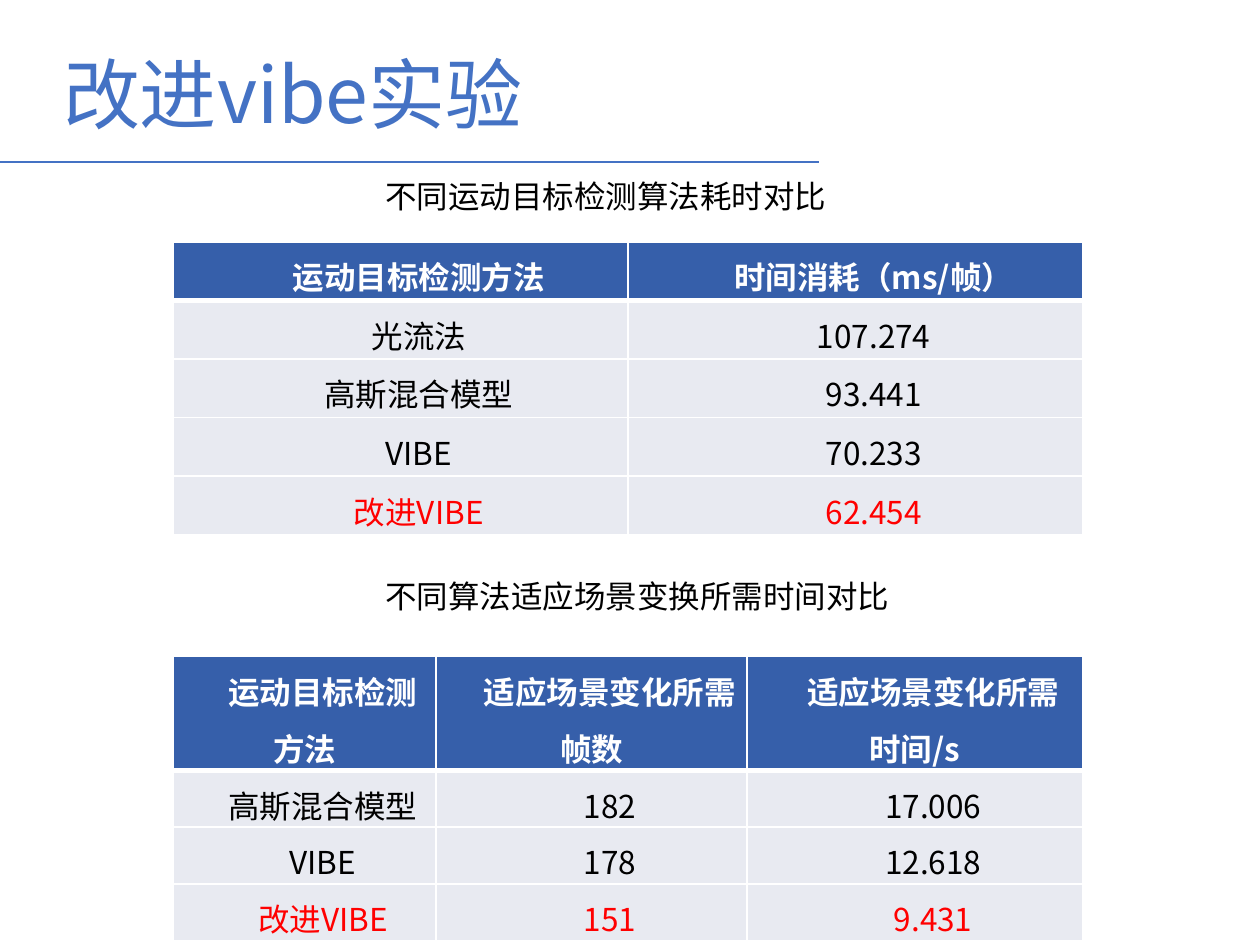
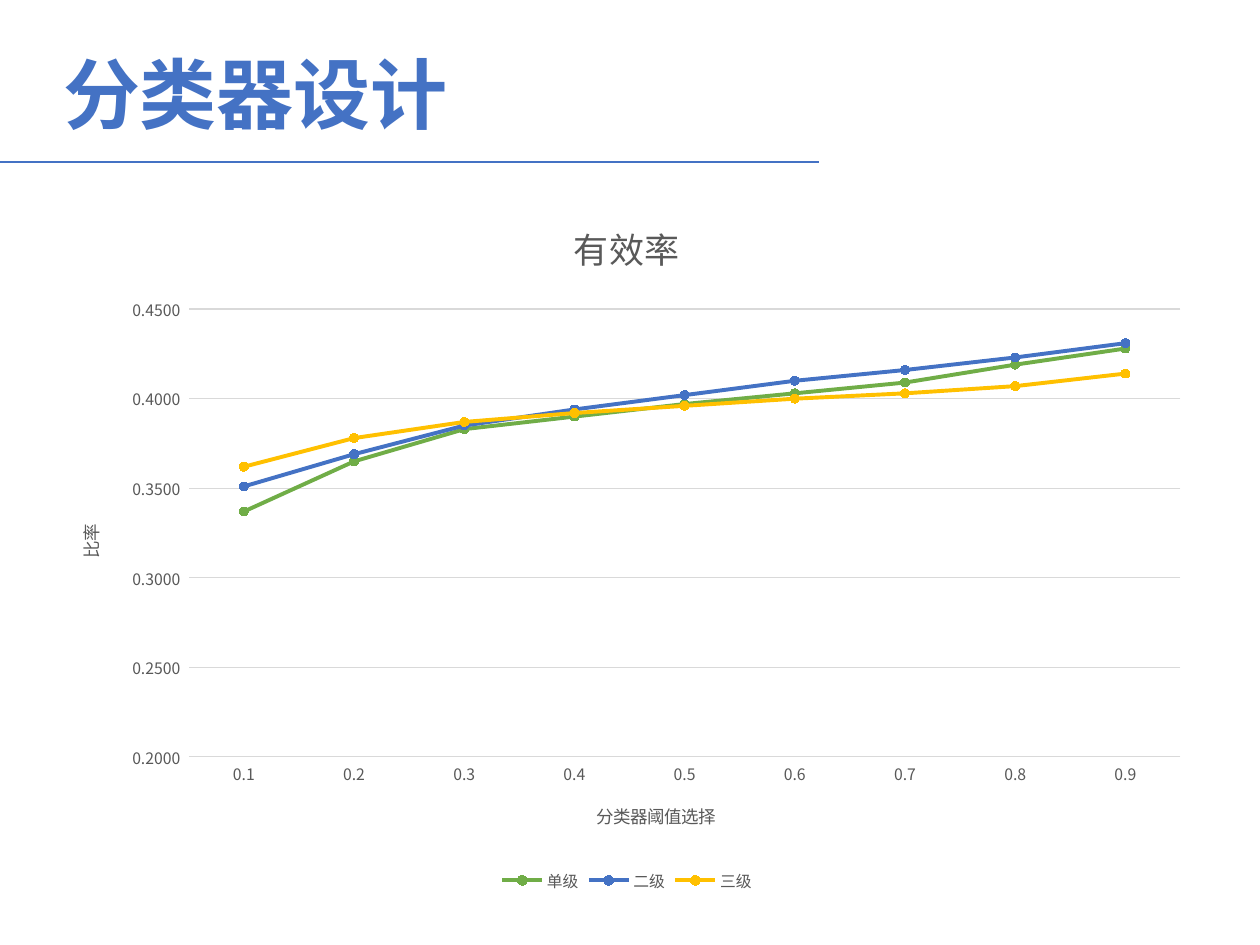
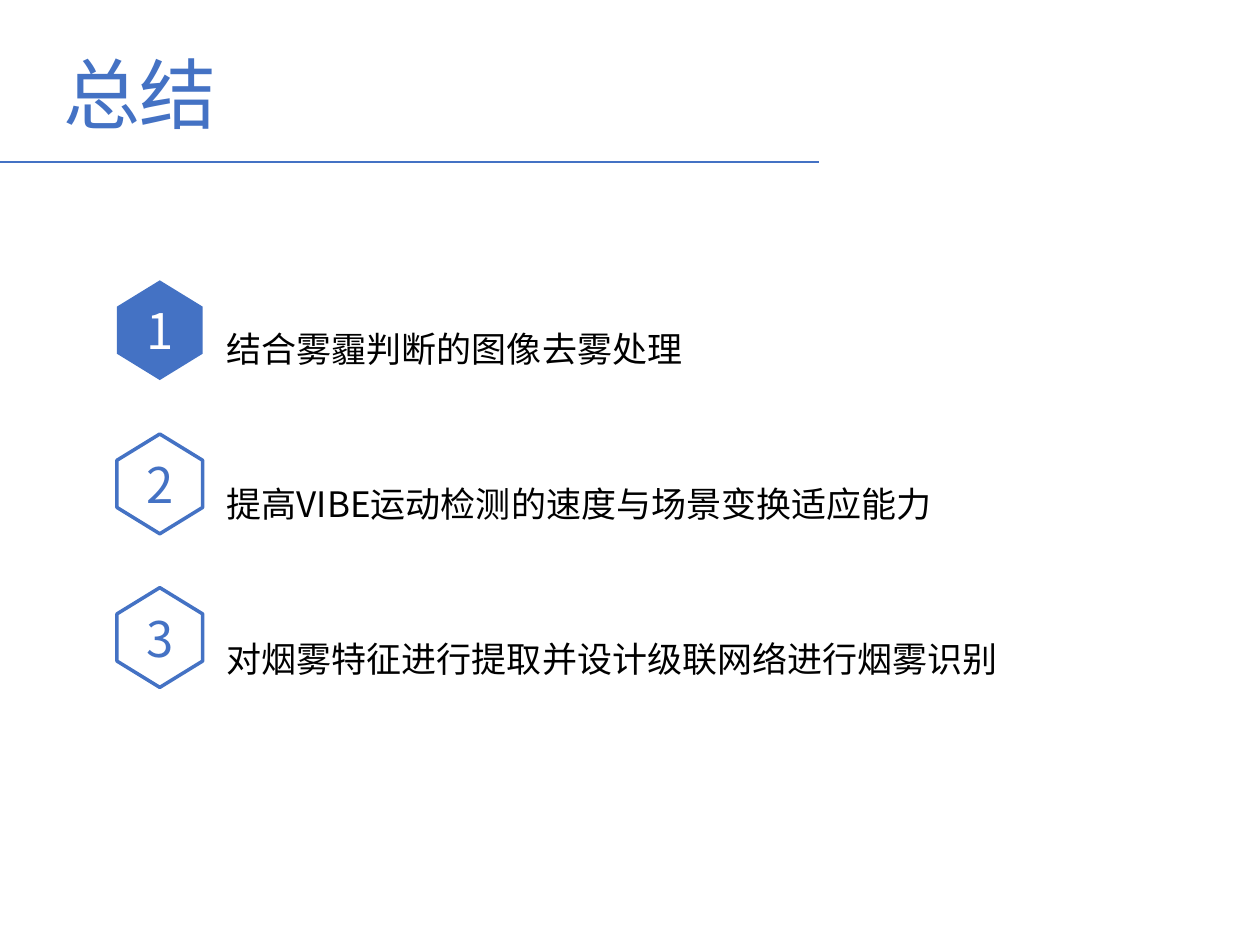
"""Build three slides on an improved VIBE experiment, a classifier design and a summary."""
from lxml import etree
from pptx import Presentation
from pptx.chart.data import CategoryChartData
from pptx.dml.color import RGBColor
from pptx.enum.chart import XL_CHART_TYPE, XL_LEGEND_POSITION, XL_MARKER_STYLE, XL_TICK_MARK
from pptx.enum.shapes import MSO_CONNECTOR, MSO_SHAPE
from pptx.enum.text import MSO_ANCHOR, MSO_AUTO_SIZE, PP_ALIGN
from pptx.oxml import parse_xml
from pptx.oxml.ns import nsdecls, qn
from pptx.util import Pt

LINE_MARKERS = XL_CHART_TYPE.LINE_MARKERS
LEGEND_BOTTOM = XL_LEGEND_POSITION.BOTTOM
CIRCLE = XL_MARKER_STYLE.CIRCLE
NO_TICK = XL_TICK_MARK.NONE
STRAIGHT = MSO_CONNECTOR.STRAIGHT
HEXAGON = MSO_SHAPE.HEXAGON
TOP, MIDDLE = MSO_ANCHOR.TOP, MSO_ANCHOR.MIDDLE
NO_AUTOFIT, GROW = MSO_AUTO_SIZE.NONE, MSO_AUTO_SIZE.SHAPE_TO_FIT_TEXT
LEFT, CENTER, JUSTIFY = PP_ALIGN.LEFT, PP_ALIGN.CENTER, PP_ALIGN.JUSTIFY

FONT = "Noto Sans CJK SC"
COLORS = {
    "blue": "4472C4",
    "header": "365FAA",
    "row": "E8EAF1",
    "green": "70AD47",
    "yellow": "FFC000",
    "red": "FF0000",
    "black": "000000",
    "white": "FFFFFF",
    "gray": "595959",
    "grid": "D9D9D9",
}
RGB = {name: RGBColor.from_string(value) for name, value in COLORS.items()}


def style_font(font, size, color, bold=False):
    font.size = Pt(size)
    font.bold = bold
    font.name = FONT
    font.color.rgb = RGB[color]
    etree.SubElement(font._rPr, qn("a:ea")).set("typeface", FONT)


def add_titled_slide(title_text, bold=False):
    slide = presentation.slides.add_slide(presentation.slide_layouts[5])
    rule = slide.shapes.add_connector(STRAIGHT, Pt(0), Pt(92.5), Pt(468), Pt(92.5))
    rule.line.color.rgb = RGB["blue"]
    rule.line.width = Pt(1.25)
    etree.SubElement(rule.element.spPr, qn("a:effectLst"))
    title = slide.shapes.title
    title.left, title.top, title.width, title.height = Pt(28.8), Pt(23), Pt(578), Pt(51)
    frame = title.text_frame
    frame.text = title_text
    frame.vertical_anchor = TOP
    frame.auto_size = NO_AUTOFIT
    paragraph = frame.paragraphs[0]
    paragraph.alignment = LEFT
    style_font(paragraph.runs[0].font, 44, "blue", bold)
    return slide


presentation = Presentation()
presentation.slide_width, presentation.slide_height = Pt(720), Pt(540)

slide = add_titled_slide("改进vibe实验")
comparisons = [
    ("不同运动目标检测算法耗时对比", 97.7, 138.2, 33.5, 33.5, [260, 260], [
        ("运动目标检测方法", "时间消耗（ms/帧）"),
        ("光流法", "107.274"),
        ("高斯混合模型", "93.441"),
        ("VIBE", "70.233"),
        ("改进VIBE", "62.454"),
    ]),
    ("不同算法适应场景变换所需时间对比", 326.2, 375.1, 65, 32.5, [150.5, 177.5, 192], [
        ("运动目标检测方法", "适应场景变化所需帧数", "适应场景变化所需时间/s"),
        ("高斯混合模型", "182", "17.006"),
        ("VIBE", "178", "12.618"),
        ("改进VIBE", "151", "9.431"),
    ]),
]
for caption, caption_top, table_top, header_height, row_height, widths, rows in comparisons:
    table_height = header_height + row_height * (len(rows) - 1)
    table = slide.shapes.add_table(
        len(rows), len(widths), Pt(98.8), Pt(table_top), Pt(sum(widths)), Pt(table_height)
    ).table
    table.horz_banding = False
    for column, width in zip(table.columns, widths):
        column.width = Pt(width)
    for row_index, values in enumerate(rows):
        is_header = row_index == 0
        table.rows[row_index].height = Pt(header_height if is_header else row_height)
        color = "white" if is_header else "red" if row_index == len(rows) - 1 else "black"
        for column_index, value in enumerate(values):
            cell = table.cell(row_index, column_index)
            cell.margin_left = cell.margin_right = Pt(5)
            cell.margin_top = cell.margin_bottom = Pt(0)
            cell.text_frame.text = value
            paragraph = cell.text_frame.paragraphs[0]
            paragraph.alignment = CENTER
            paragraph.line_spacing = 1.25
            properties = paragraph._p.get_or_add_pPr()
            properties.set("marL", "0")
            properties.set("indent", str(Pt(21)))
            style_font(paragraph.runs[0].font, 18, color, is_header)
            edges = {"lnL": 1, "lnR": 1, "lnT": 3 if row_index == 1 else 1, "lnB": 3 if is_header else 1}
            for edge, width in edges.items():
                cell._tc.get_or_add_tcPr().append(parse_xml(
                    f'<a:{edge} {nsdecls("a")} w="{Pt(width)}"><a:solidFill>'
                    f'<a:srgbClr val="{COLORS["white"]}"/></a:solidFill></a:{edge}>'
                ))
            cell.fill.solid()
            cell.fill.fore_color.rgb = RGB["header" if is_header else "row"]
    caption_box = slide.shapes.add_textbox(Pt(213.1), Pt(caption_top), Pt(317), Pt(29))
    frame = caption_box.text_frame
    frame.word_wrap = True
    frame.auto_size = GROW
    frame.text = caption
    style_font(frame.paragraphs[0].runs[0].font, 18, "black")

slide = add_titled_slide("分类器设计", bold=True)
classifier_levels = [
    ("单级", "green", [0.337, 0.365, 0.383, 0.39, 0.397, 0.403, 0.409, 0.419, 0.428]),
    ("二级", "blue", [0.351, 0.369, 0.385, 0.394, 0.402, 0.41, 0.416, 0.423, 0.431]),
    ("三级", "yellow", [0.362, 0.378, 0.387, 0.392, 0.396, 0.4, 0.403, 0.407, 0.414]),
]
chart_data = CategoryChartData()
chart_data.categories = [f"0.{step}" for step in range(1, 10)]
for name, color, values in classifier_levels:
    chart_data.add_series(name, values)
chart = slide.shapes.add_chart(
    LINE_MARKERS, Pt(28.8), Pt(109.4), Pt(659), Pt(403), chart_data
).chart
style_font(chart.font, 10, "black")
chart.has_title = True
chart.chart_title.include_in_layout = False
chart.has_legend = True
chart.legend.position = LEGEND_BOTTOM
chart.legend.include_in_layout = False
style_font(chart.legend.font, 9, "gray")

category_axis, value_axis = chart.category_axis, chart.value_axis
for axis in (category_axis, value_axis):
    axis.major_tick_mark = axis.minor_tick_mark = NO_TICK
    style_font(axis.tick_labels.font, 9, "gray")
for title, text, size in (
    (chart.chart_title, "有效率", 20),
    (category_axis.axis_title, "分类器阈值选择", 10),
    (value_axis.axis_title, "比率", 10),
):
    title.text_frame.text = text
    style_font(title.text_frame.paragraphs[0].runs[0].font, size, "gray")
value_axis.minimum_scale, value_axis.maximum_scale, value_axis.major_unit = 0.2, 0.45, 0.05
value_axis.tick_labels.number_format = "0.0000_ "
value_axis.tick_labels.number_format_is_linked = False
value_axis.format.line.fill.background()
for line in (category_axis.format.line, value_axis.major_gridlines.format.line):
    line.color.rgb = RGB["grid"]
    line.width = Pt(0.75)

for series, (name, color, values) in zip(chart.plots[0].series, classifier_levels):
    series.smooth = False
    series.format.line.color.rgb = RGB[color]
    series.format.line.width = Pt(2.25)
    series.marker.style = CIRCLE
    series.marker.size = 5
    series.marker.format.fill.solid()
    series.marker.format.fill.fore_color.rgb = RGB[color]
    series.marker.format.line.color.rgb = RGB[color]

plot_area = chart.element.chart.plotArea
for old_layout in plot_area.findall(qn("c:layout")):
    plot_area.remove(old_layout)
plot_area.insert(0, parse_xml(
    f'<c:layout {nsdecls("c")}><c:manualLayout><c:layoutTarget val="inner"/>'
    '<c:xMode val="edge"/><c:yMode val="edge"/><c:x val="0.12"/><c:y val="0.167"/>'
    '<c:w val="0.86"/><c:h val="0.635"/></c:manualLayout></c:layout>'
))

slide = add_titled_slide("总结")
conclusions = [
    "结合雾霾判断的图像去雾处理",
    "提高VIBE运动检测的速度与场景变换适应能力",
    "对烟雾特征进行提取并设计级联网络进行烟雾识别",
]
for index, conclusion in enumerate(conclusions):
    badge = slide.shapes.add_shape(HEXAGON, Pt(62.8), Pt(164.2 + 87.8 * index), Pt(57), Pt(49))
    badge.adjustments[0] = 0.307
    badge.rotation = 90
    badge.shadow.inherit = False
    if index == 0:
        badge.fill.solid()
        badge.fill.fore_color.rgb = RGB["blue"]
        badge.line.fill.background()
    else:
        badge.fill.background()
        badge.line.color.rgb = RGB["blue"]
        badge.line.width = Pt(2)
    frame = badge.text_frame
    frame.text = str(index + 1)
    frame.vertical_anchor = MIDDLE
    badge.element.txBody.bodyPr.set("vert", "vert270")
    frame.paragraphs[0].alignment = CENTER
    style_font(frame.paragraphs[0].runs[0].font, 28, "white" if index == 0 else "blue")

    conclusion_box = slide.shapes.add_textbox(Pt(122.4), Pt(183.6 + 88.5 * index), Pt(523), Pt(31.5))
    frame = conclusion_box.text_frame
    frame.word_wrap = True
    frame.auto_size = GROW
    frame.text = conclusion
    frame.paragraphs[0].alignment = JUSTIFY
    style_font(frame.paragraphs[0].runs[0].font, 20, "black")

presentation.save("out.pptx")
